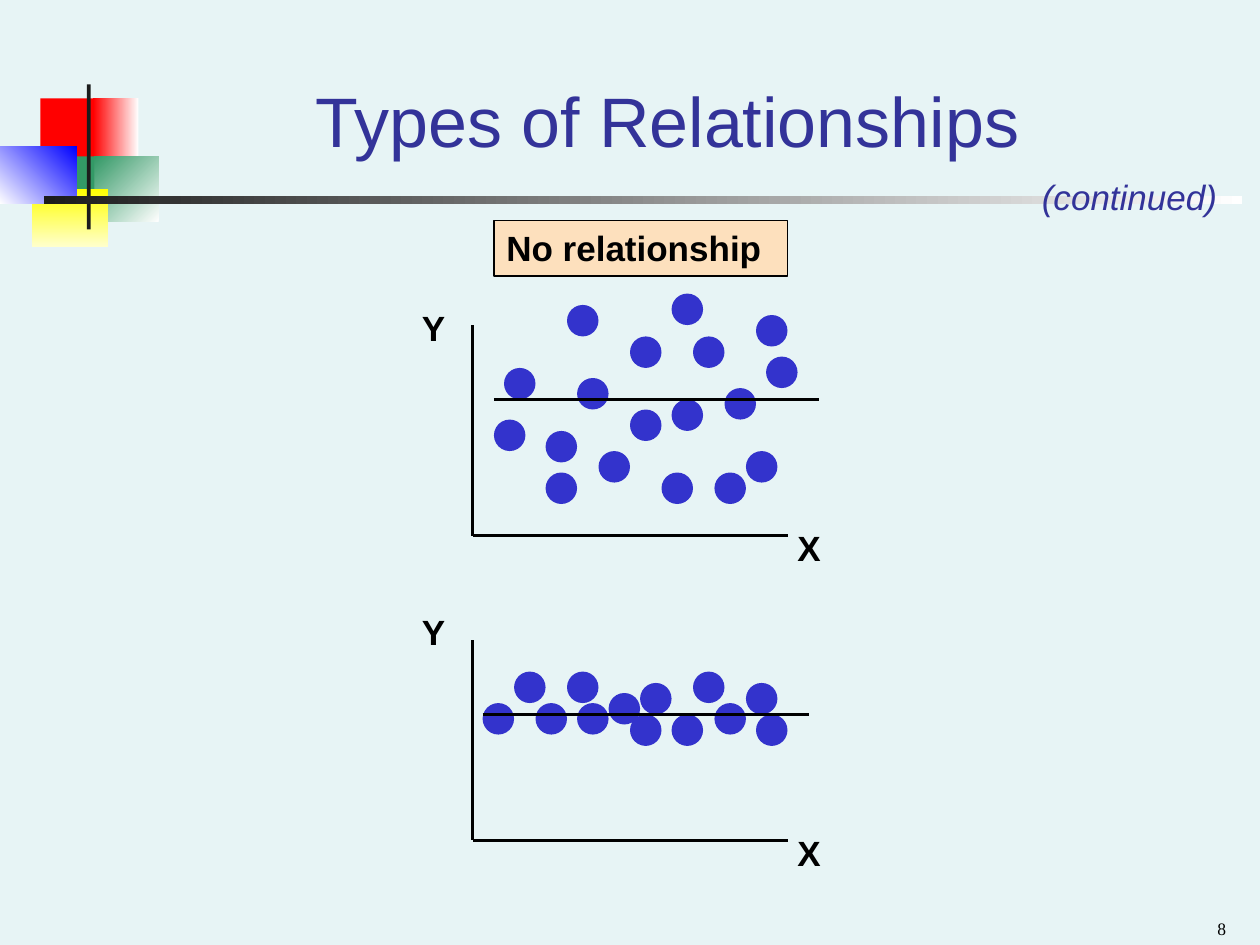
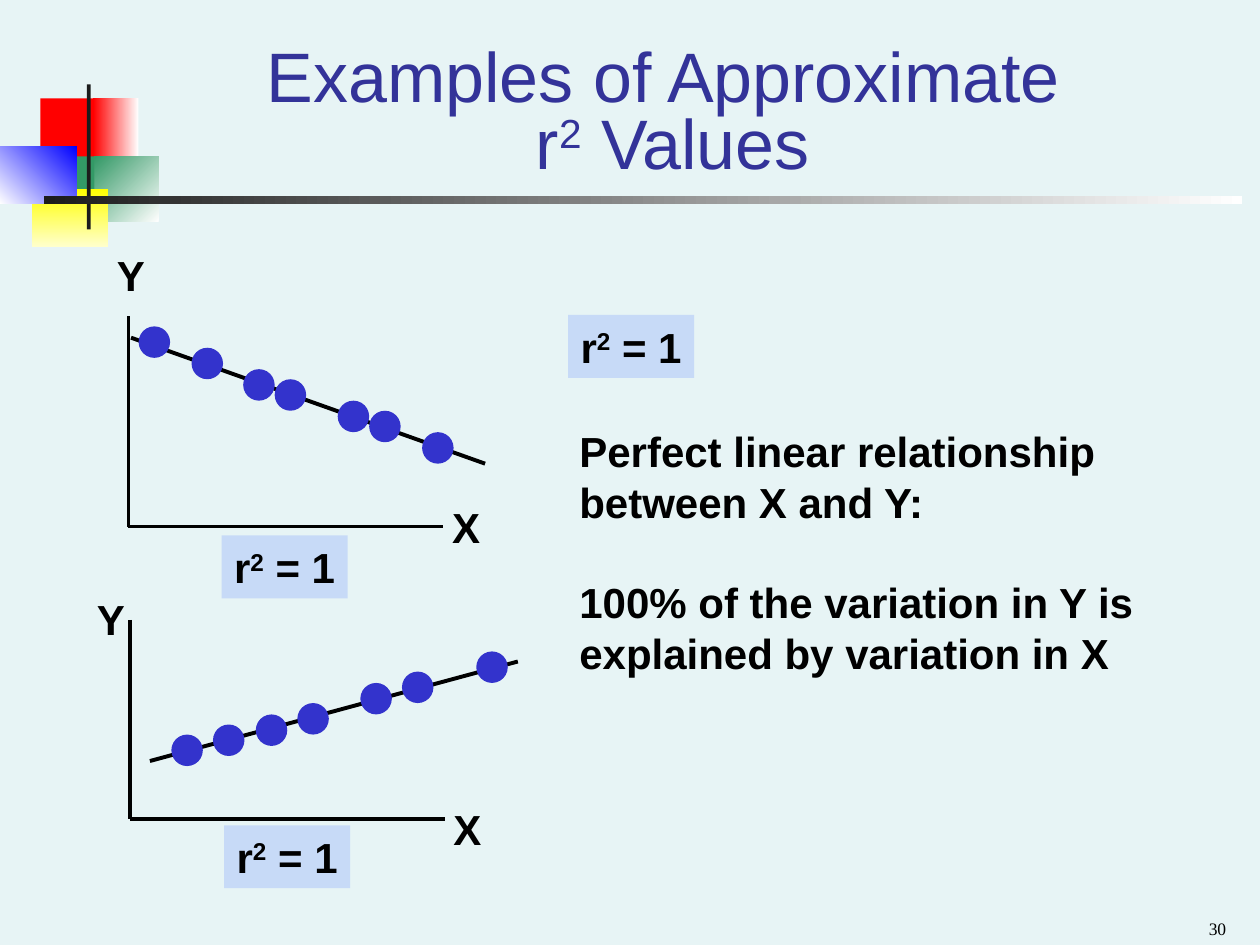
from pptx import Presentation
from pptx.dml.color import RGBColor
from pptx.enum.shapes import MSO_CONNECTOR, MSO_SHAPE
from pptx.enum.text import MSO_ANCHOR, MSO_AUTO_SIZE, PP_ALIGN
from pptx.oxml.ns import qn
from pptx.util import Inches, Pt
from lxml.etree import SubElement

BACKGROUND = RGBColor(0xE7, 0xF4, 0xF5)
TITLE_BLUE = RGBColor(0x33, 0x33, 0x99)
DOT_BLUE = RGBColor(0x33, 0x33, 0xCC)
LABEL_BLUE = RGBColor(0xC7, 0xDA, 0xF7)
PEACH = RGBColor(0xFD, 0xE0, 0xBD)
RED = RGBColor(0xFF, 0x00, 0x00)
GREEN = RGBColor(0x33, 0x99, 0x66)
YELLOW = RGBColor(0xFF, 0xFF, 0x00)
PALE_YELLOW = RGBColor(0xFF, 0xFF, 0xCC)
BLUE = RGBColor(0x00, 0x00, 0xFF)
CHARCOAL = RGBColor(0x1C, 0x1C, 0x1C)
WHITE = RGBColor(0xFF, 0xFF, 0xFF)
BLACK = RGBColor(0x00, 0x00, 0x00)

DOT_SIZE = 0.25
SUPERSCRIPT = "2"
R_SQUARED = ("r", SUPERSCRIPT, " = 1")

# Left, top, width, height, start colour, end colour, clockwise angle
DECORATION = [
    (0.32, 0.78, 0.48, 0.52, RED, None, 0),
    (0.74, 0.78, 0.36, 0.52, WHITE, RED, 180),
    (0.75, 1.24, 0.51, 0.52, WHITE, GREEN, 225),
    (0.43, 1.24, 0.32, 0.52, GREEN, None, 0),
    (0.25, 1.5, 0.61, 0.46, YELLOW, PALE_YELLOW, 90),
    (0, 1.16, 0.61, 0.46, BLUE, WHITE, 135),
    (0.69, 0.67, 0.03, 1.15, CHARCOAL, None, 0),
    (0.35, 1.56, 9.51, 0.06, WHITE, CHARCOAL, 180),
]

# Each plot: axis origin, axis height, trend start and end, Y and X label corners, dot corners
PAGES = [
    {
        "number": "8",
        "title": ("Types of Relationships",),
        "title_at": (1.26, 0.25, 8.07, 1.08),
        "title_spacing": 1.0,
        "label_size": 20,
        "label_box": (0.38, 0.44),
        "trend_width": 1.5,
        "trend_on_top": True,
        "plots": [
            ((3.75, 4.25), 1.67, (3.92, 3.17), (6.5, 3.17), (3.25, 2.38), (6.23, 4.13),
             [(5.33, 2.33), (3.92, 3.33), (5.92, 3.58), (6.08, 2.83), (4.33, 3.75), (4.5, 2.42),
              (5.33, 3.17), (5.5, 2.67), (6, 2.5), (5, 2.67), (4.33, 3.42), (4.58, 3),
              (5.67, 3.75), (5, 3.25), (4.75, 3.58), (4, 2.92), (5.25, 3.75), (5.75, 3.08)]),
            ((3.75, 6.67), 1.59, (3.83, 5.67), (6.42, 5.67), (3.25, 4.8), (6.23, 6.55),
             [(6, 5.67), (4.25, 5.58), (5.92, 5.42), (4.5, 5.33), (5.5, 5.33), (5.67, 5.58),
              (4.83, 5.5), (3.83, 5.58), (4.08, 5.33), (4.58, 5.58), (5.33, 5.67), (5.08, 5.42),
              (5, 5.67)]),
        ],
    },
    {
        "number": "30",
        "title": ("Examples of Approximate ", "\v", "r", SUPERSCRIPT, " Values"),
        "title_at": (1.08, 0.33, 8.52, 1.17),
        "title_spacing": 0.8,
        "label_size": 24,
        "label_box": (0.42, 0.5),
        "trend_width": 2.25,
        "trend_on_top": False,
        "plots": [
            ((1.02, 4.18), 1.67, (1.04, 2.68), (3.85, 3.68), (0.83, 1.93), (3.49, 3.93),
             [(1.1, 2.59), (1.52, 2.76), (1.93, 2.93), (2.18, 3.01), (2.68, 3.18), (2.93, 3.26),
              (3.35, 3.43)]),
            ((1.03, 6.5), 1.58, (1.19, 6.04), (4.11, 5.25), (0.67, 4.66), (3.5, 6.33),
             [(1.36, 5.83), (1.69, 5.75), (2.03, 5.67), (2.36, 5.58), (2.86, 5.42), (3.19, 5.33),
              (3.78, 5.17)]),
        ],
    },
]


def write_text(para, pieces, size, color=BLACK, bold=False, font_name="Arial"):
    """Fill a paragraph from pieces; a lone 2 is raised and a \\v breaks the line."""
    for piece in pieces:
        if piece == "\v":
            para.add_line_break()
            continue
        span = para.add_run()
        span.text = piece
        if piece == SUPERSCRIPT:
            span._r.get_or_add_rPr().set("baseline", "30000")
    para.font.name = font_name
    para.font.size = Pt(size)
    para.font.bold = bold
    para.font.color.rgb = color


def add_line(page, start, end, width):
    line = page.shapes.add_connector(
        MSO_CONNECTOR.STRAIGHT, *(Inches(value) for value in (*start, *end)))
    line.line.color.rgb = BLACK
    line.line.width = Pt(width)
    SubElement(line.element.spPr, qn("a:effectLst"))
    return line


deck = Presentation()
deck.slide_width, deck.slide_height = Inches(10), Inches(7.5)
layout = deck.slide_layouts[5]
background = deck.slide_master.background.fill
background.solid()
background.fore_color.rgb = BACKGROUND
pages = [deck.slides.add_slide(layout) for _ in PAGES]

# Layouts cannot add shapes themselves, so each one is drawn on a page and moved
for index, (*place, start_color, end_color, angle) in enumerate(DECORATION):
    block = pages[0].shapes.add_shape(MSO_SHAPE.RECTANGLE, *(Inches(value) for value in place))
    block.shadow.inherit = False
    block.line.fill.background()
    if end_color is None:
        block.fill.solid()
        block.fill.fore_color.rgb = start_color
    else:
        block.fill.gradient()
        block.fill.gradient_angle = 360 - angle
        for stop, color in zip(block.fill.gradient_stops, (start_color, end_color)):
            stop.color.rgb = color
    block.name = f"Decoration {index + 1}"
    block.element.nvSpPr.cNvPr.set("id", str(100 + index))
    layout.shapes.element.insert(2 + index, block.element)

for page, content in zip(pages, PAGES):
    title = page.shapes.title
    title.left, title.top, title.width, title.height = (
        Inches(value) for value in content["title_at"])
    title.text_frame.auto_size = MSO_AUTO_SIZE.NONE
    title.text_frame.vertical_anchor = MSO_ANCHOR.BOTTOM
    para = title.text_frame.paragraphs[0]
    para.alignment = PP_ALIGN.CENTER
    para.line_spacing = content["title_spacing"]
    write_text(para, content["title"], 40, TITLE_BLUE)

    for origin, height, trend_start, trend_end, y_label, x_label, dots in content["plots"]:
        left, bottom = origin
        add_line(page, (left, bottom - height), origin, 2)
        add_line(page, origin, (left + 2.5, bottom), 2)
        trend = add_line(page, trend_start, trend_end, content["trend_width"])
        for dot_left, dot_top in dots:
            dot = page.shapes.add_shape(
                MSO_SHAPE.OVAL, Inches(dot_left), Inches(dot_top),
                Inches(DOT_SIZE), Inches(DOT_SIZE))
            dot.shadow.inherit = False
            dot.fill.solid()
            dot.fill.fore_color.rgb = DOT_BLUE
            dot.line.fill.background()
        if content["trend_on_top"]:
            page.shapes.element.append(trend.element)
        for letter, corner in (("Y", y_label), ("X", x_label)):
            label = page.shapes.add_textbox(
                *(Inches(value) for value in (*corner, *content["label_box"])))
            label.text_frame.word_wrap = False
            write_text(label.text_frame.paragraphs[0], (letter,), content["label_size"], bold=True)

    number = page.shapes.add_textbox(Inches(7.5), Inches(7.15), Inches(2.33), Inches(0.35))
    number.text_frame.word_wrap = True
    number.text_frame.vertical_anchor = MSO_ANCHOR.BOTTOM
    para = number.text_frame.paragraphs[0]
    para.alignment = PP_ALIGN.RIGHT
    write_text(para, (content["number"],), 10, font_name="Times New Roman")

relationships, examples = pages

heading = relationships.shapes.add_textbox(Inches(3.92), Inches(1.75), Inches(2.33), Inches(0.44))
heading.text_frame.word_wrap = True
heading.fill.solid()
heading.fill.fore_color.rgb = PEACH
heading.line.color.rgb = BLACK
heading.line.width = Pt(1)
write_text(heading.text_frame.paragraphs[0], ("No relationship",), 20, bold=True)

continued = relationships.shapes.add_textbox(Inches(8.17), Inches(1.34), Inches(1.59), Inches(0.44))
continued.text_frame.word_wrap = False
para = continued.text_frame.paragraphs[0]
write_text(para, ("(continued)",), 20, TITLE_BLUE)
para.font.italic = True

for left, top in ((1.76, 4.25), (1.78, 6.55), (4.51, 2.5)):
    value_box = examples.shapes.add_textbox(Inches(left), Inches(top), Inches(1), Inches(0.5))
    value_box.text_frame.word_wrap = False
    value_box.fill.solid()
    value_box.fill.fore_color.rgb = LABEL_BLUE
    write_text(value_box.text_frame.paragraphs[0], R_SQUARED, 24, bold=True)

explanation = examples.shapes.add_textbox(Inches(4.5), Inches(3.33), Inches(4.83), Inches(2.1))
explanation.text_frame.word_wrap = True
write_text(explanation.text_frame.paragraphs[0],
           ("Perfect linear relationship between X and Y:",), 24, bold=True)
para = explanation.text_frame.add_paragraph()
para.space_before = Pt(28.8)
write_text(para, ("100% of the variation in Y is explained by variation in X",), 24, bold=True)

deck.save("out.pptx")
